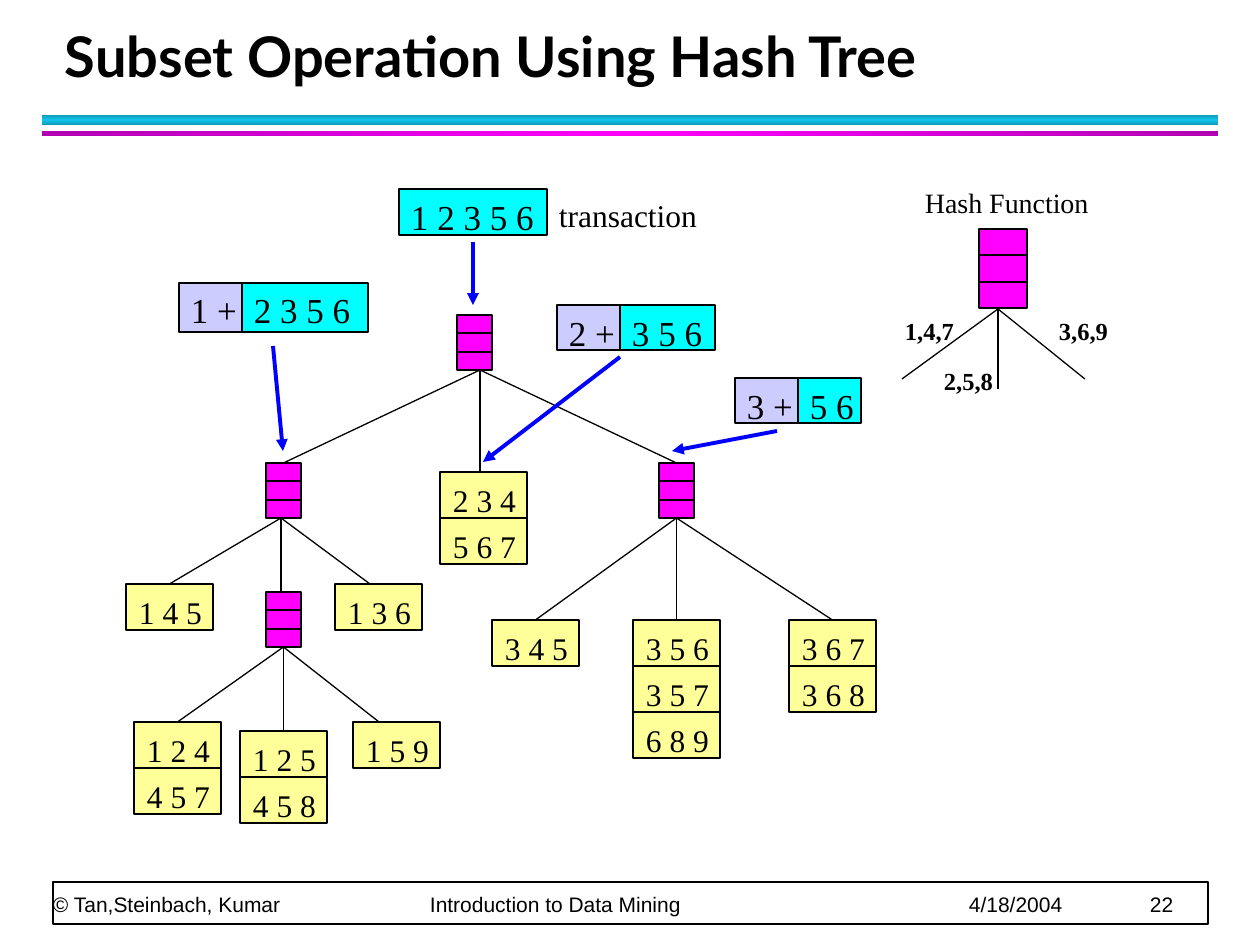
import copy

import pptx
import pptx.dml.color
import pptx.enum.shapes
import pptx.enum.text
import pptx.oxml.ns
import pptx.util
from lxml import etree

PX = 914400 // 126
LEAF_W, LEAF_H = 87, 46
NODE_W, NODE_H = 35, 55
PREFIX_W = 63
SERIF = {"name": "Times New Roman", "size": 18, "bold": False}


def emu(*lengths):
    return [length * PX for length in lengths]


def colour(hex_code):
    return pptx.dml.color.RGBColor.from_string(hex_code)


def qualified(tag):
    return pptx.oxml.ns.qn(tag)


def write(shape, text, look, insets=(13, 7, 0, 0), anchor="TOP"):
    """Fill a shape with one left-aligned paragraph and return it."""
    frame = shape.text_frame
    margins = zip(("left", "top", "right", "bottom"), emu(*insets))
    settings = {f"margin_{side}": size for side, size in margins}
    settings["word_wrap"] = True
    settings["vertical_anchor"] = getattr(pptx.enum.text.MSO_ANCHOR, anchor)
    for name, value in settings.items():
        setattr(frame, name, value)
    para = frame.paragraphs[0]
    para.alignment = pptx.enum.text.PP_ALIGN.LEFT
    span = para.add_run()
    span.text = text
    for name, value in {**SERIF, **look}.items():
        setattr(span.font, name, pptx.util.Pt(value) if name == "size" else value)
    span.font.color.rgb = colour("000000")
    return para


def add_label(page, box, text, look, **layout):
    return write(page.shapes.add_textbox(*emu(*box)), text, look, **layout)


def add_box(page, box, fill, weight=0.75):
    shape = page.shapes.add_shape(pptx.enum.shapes.MSO_SHAPE.RECTANGLE, *emu(*box))
    shape.shadow.inherit = False
    shape.fill.solid()
    shape.fill.fore_color.rgb = colour(fill)
    shape.line.color.rgb = colour("000000")
    shape.line.width = pptx.util.Pt(weight)
    return shape


def add_line(page, start, end, hex_code="000000", weight=0.75, arrow=False):
    line = page.shapes.add_connector(
        pptx.enum.shapes.MSO_CONNECTOR.STRAIGHT, *emu(*start, *end))
    line.line.color.rgb = colour(hex_code)
    line.line.width = pptx.util.Pt(weight)
    properties = line._element.spPr
    if arrow:
        outline = properties.find(qualified("a:ln"))
        etree.SubElement(outline, qualified("a:tailEnd"), type="triangle")
    etree.SubElement(properties, qualified("a:effectLst"))
    return line


def add_band(page, box, edge, middle, angle):
    """Draw a bar shaded from edge to middle and back to edge."""
    band = add_box(page, box, middle)
    band.line.fill.background()
    band.fill.gradient()
    band.fill.gradient_angle = angle
    stops = next(band._element.iter(qualified("a:gsLst")))
    stops.insert(1, copy.deepcopy(stops[0]))
    for stop, position, hex_code in zip(
            band.fill.gradient_stops, (0, 0.5, 1), (edge, middle, edge)):
        stop.position = position
        stop.color.rgb = colour(hex_code)


def add_header(page, left, top):
    add_band(page, (left, top + 94, 1176, 10), "0E9BBA", "12C2E9", 90)
    add_band(page, (left, top + 110, 1176, 5), "B200B2", "FF00FF", 0)
    title = add_label(page, (left + 10, top, 1142, 74), "Subset Operation Using Hash Tree",
                      {"name": "Lato", "size": 32, "bold": True},
                      insets=(13, 6, 13, 6), anchor="BOTTOM")
    title.line_spacing = pptx.util.Pt(36)


def add_footer(page, left, top):
    add_box(page, (left, top, 1155, 42), "FFFFFF", 1)
    text = "© Tan,Steinbach, Kumar\tIntroduction to Data Mining\t4/18/2004\t22"
    para = add_label(page, (left, top - 35, 1153, 70), text,
                     {"name": "Arial", "size": 12}, insets=(0, 0, 0, 0), anchor="BOTTOM")
    para.line_spacing = pptx.util.Pt(20)
    tabs = etree.SubElement(para._p.get_or_add_pPr(), qualified("a:tabLst"))
    for stop in (377, 916, 1097):
        etree.SubElement(tabs, qualified("a:tab"), pos=str(stop * PX), algn="l")


def add_node(page, left, top, width=NODE_W, height=NODE_H):
    """Draw a hash node cut into three equal cells."""
    node = add_box(page, (left, top, width, height), "FF00FF")
    for part in (1, 2):
        level = top + round(part * height / 3)
        add_line(page, (left, level), (left + width, level))
    return node


def add_leaf(page, left, top, *itemsets):
    """Stack the itemsets and return the top box."""
    boxes = []
    for row, itemset in enumerate(itemsets):
        box = add_box(page, (left, top + row * LEAF_H, LEAF_W, LEAF_H), "FFFF99")
        write(box, itemset, {}, insets=(13, 9, 0, 0))
        boxes.append(box)
    return boxes[0]


def add_branch(page, parent, child, stem, tip):
    """Run an edge from stem to tip, joined wherever it meets a side's middle."""
    start = (stem, (parent.top + parent.height) // PX)
    end = (tip, child.top // PX)
    edge = add_line(page, start, end)
    for shape, x, join, side in ((parent, stem, edge.begin_connect, 2),
                                 (child, tip, edge.end_connect, 0)):
        if abs(shape.left + shape.width / 2 - x * PX) <= PX:
            join(shape, side)


def add_tree(page, left, top):
    nodes = {name: add_node(page, left + x, top + y) for name, x, y in (
        ("root", 331, 0), ("one", 140, 148), ("three", 533, 148), ("one two", 140, 277))}
    leaves = {sets[0]: add_leaf(page, left + x, top + y, *sets) for x, y, sets in (
        (0, 269, ["1 4 5"]), (209, 269, ["1 3 6"]),
        (314, 157, ["2 3 4", "5 6 7"]), (366, 305, ["3 4 5"]),
        (507, 305, ["3 5 6", "3 5 7", "6 8 9"]), (663, 305, ["3 6 7", "3 6 8"]),
        (8, 407, ["1 2 4", "4 5 7"]), (114, 416, ["1 2 5", "4 5 8"]),
        (227, 407, ["1 5 9"]))}
    parts = {**nodes, **leaves}
    for parent, stem, children in (
            ("root", 354, (("one", 157), ("2 3 4", 354), ("three", 550))),
            ("one", 155, (("1 4 5", 44), ("one two", 155), ("1 3 6", 244))),
            ("three", 550, (("3 4 5", 410), ("3 5 6", 550), ("3 6 7", 706))),
            ("one two", 157, (("1 2 4", 52), ("1 2 5", 157), ("1 5 9", 253)))):
        for child, tip in children:
            add_branch(page, parts[parent], parts[child], left + stem, left + tip)


def add_query(page, left, top, width, height, items, prefix=None):
    """Draw the remaining items, after their fixed prefix if there is one."""
    cells = [(items, width, "00FFFF")]
    if prefix:
        cells.insert(0, (prefix, PREFIX_W, "CCCCFF"))
    for text, cell_width, fill in cells:
        cell = add_box(page, (left, top, cell_width, height), fill)
        write(cell, text, {"size": 20}, insets=(12, 6, 0, 0))
        left += cell_width


def add_transaction(page, left, top):
    for x, y, width, height, *texts in (
            (220, 0, 148, 46, "1 2 3 5 6"), (0, 94, 126, 49, "2 3 5 6", "1 +"),
            (378, 116, 95, 45, "3 5 6", "2 +"), (556, 189, 63, 45, "5 6", "3 +")):
        add_query(page, left + x, top + y, width, height, *texts)
    add_label(page, (left + 367, top, 163, 50), "transaction", {})
    for x1, y1, x2, y2 in ((294, 53, 294, 116), (94, 157, 104, 262),
                           (441, 168, 304, 273), (598, 242, 493, 262)):
        add_line(page, (left + x1, top + y1), (left + x2, top + y2), "0000FF", 2.25, True)


def add_hash_function(page, left, top):
    add_label(page, (left + 20, top, 189, 47), "Hash Function", {"size": 16})
    add_node(page, left + 87, top + 50, 48, 79)
    for tip_x, tip_y in ((10, 200), (106, 210), (193, 200)):
        add_line(page, (left + 106, top + 130), (left + tip_x, top + tip_y))
    for x, y, text in ((0, 130, "1,4,7"), (39, 180, "2,5,8"), (154, 130, "3,6,9")):
        add_label(page, (left + x, top + y, 74, 43), text, {"size": 14, "bold": True})


def main():
    deck = pptx.Presentation()
    deck.slide_width, deck.slide_height = emu(1260, 945)
    page = deck.slides.add_slide(deck.slide_layouts[6])
    add_header(page, 42, 21)
    add_footer(page, 53, 882)
    add_tree(page, 126, 315)
    add_transaction(page, 179, 189)
    add_hash_function(page, 892, 179)
    deck.save("out.pptx")


if __name__ == "__main__":
    main()
